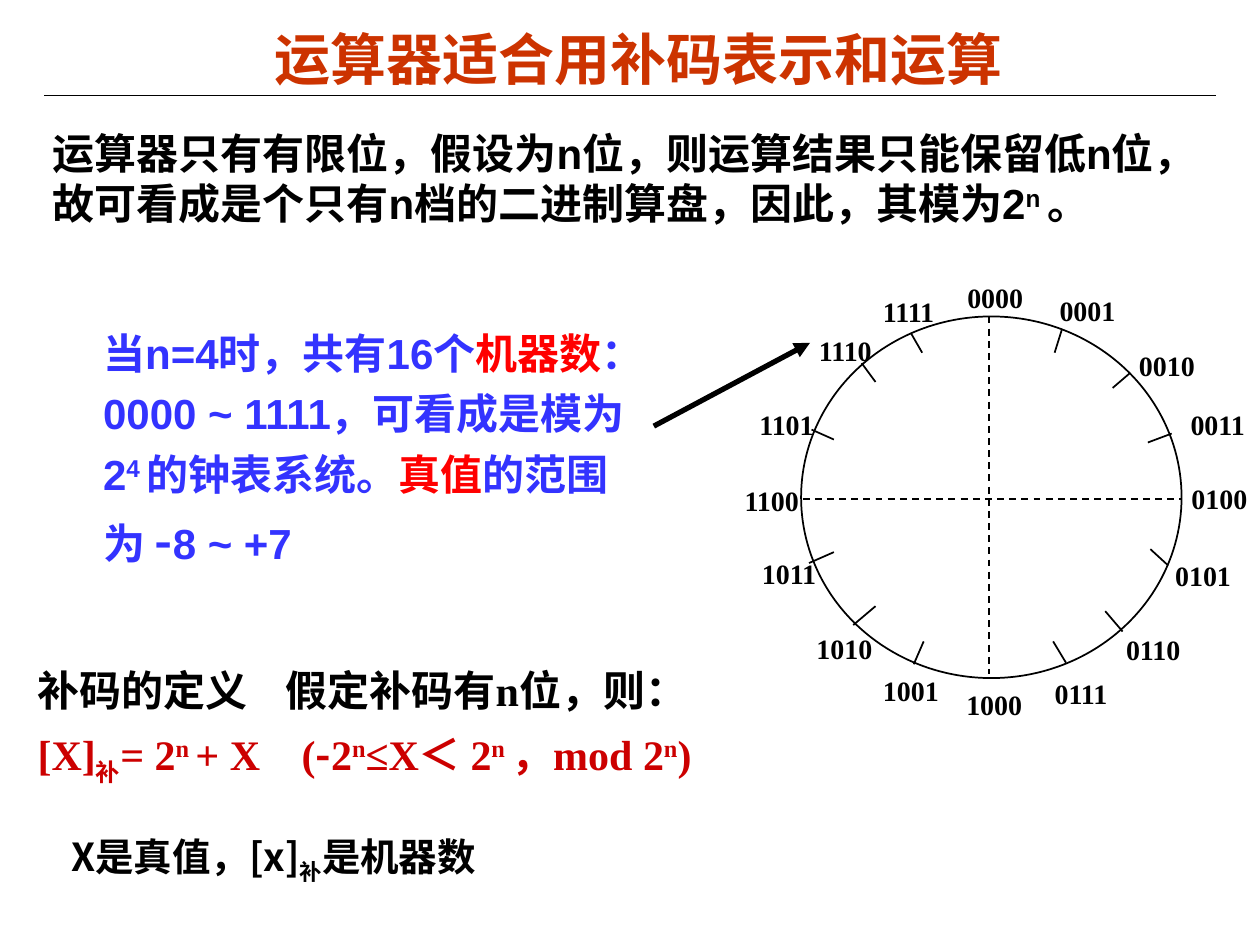
from dataclasses import dataclass

from lxml import etree
from pptx import Presentation
from pptx.dml import color as dml
from pptx.enum import dml as line_styles, shapes, text
from pptx.oxml import ns
from pptx.util import Cm, Pt


@dataclass(frozen=True)
class Theme:
    black: str = "000000"
    title: str = "CC3300"
    blue: str = "3333FF"
    red: str = "FF0000"
    formula: str = "CC0000"
    sans: str = "Arial"
    serif: str = "Times New Roman"
    chinese: str = "Noto Sans CJK SC"
    title_size: int = 32
    body_size: int = 24
    minus_size: int = 28
    note_size: int = 22
    label_size: int = 16


theme = Theme()
SUPER, SUB = 30, -25

presentation = Presentation()
presentation.slide_width, presentation.slide_height = Cm(25.4), Cm(19.05)
slide = presentation.slides.add_slide(presentation.slide_layouts[5])


def add_runs(paragraph, font_name, size, color, runs):
    """Add bold runs; each is (text, changes) with size, font, color or baseline."""
    for words, changes in runs:
        run = paragraph.add_run()
        run.text = words
        run.font.bold = True
        run.font.size = Pt(changes.get("size", size))
        run.font.color.rgb = dml.RGBColor.from_string(changes.get("color", color))
        run.font.name = changes.get("font", font_name)
        properties = run._r.get_or_add_rPr()
        etree.SubElement(properties, ns.qn("a:ea"), typeface=theme.chinese)
        if "baseline" in changes:
            properties.set("baseline", str(changes["baseline"] * 1000))


def add_line(x1, y1, x2, y2, width=1):
    connector = slide.shapes.add_connector(
        shapes.MSO_CONNECTOR.STRAIGHT, Cm(x1), Cm(y1), Cm(x2), Cm(y2))
    connector.line.color.rgb = dml.RGBColor.from_string(theme.black)
    connector.line.width = Pt(width)
    etree.SubElement(connector._element.spPr, ns.qn("a:effectLst"))
    return connector


# Title and rule
title = slide.shapes.title
title.left, title.top, title.width, title.height = Cm(1.35), Cm(0.43), Cm(23.06), Cm(1.5)
frame = title.text_frame
frame.auto_size = text.MSO_AUTO_SIZE.NONE
frame.vertical_anchor = text.MSO_ANCHOR.MIDDLE
frame.margin_left = frame.margin_right = Cm(0.18)
frame.margin_top = frame.margin_bottom = Cm(0.08)
frame.paragraphs[0].alignment = text.PP_ALIGN.CENTER
add_runs(frame.paragraphs[0], theme.sans, theme.title_size, theme.title,
         [("运算器适合用补码表示和运算", {})])
add_line(0.89, 1.93, 24.51, 1.93, 0.75)

# Clock face with dashed axes
circle = slide.shapes.add_shape(
    shapes.MSO_SHAPE.OVAL, Cm(16.15), Cm(6.38), Cm(7.67), Cm(7.29))
circle.shadow.inherit = False
circle.fill.background()
circle.line.color.rgb = dml.RGBColor.from_string(theme.black)
circle.line.width = Pt(1)
for axis in [(16.18, 10.06, 23.83, 10.06), (19.94, 6.38, 19.94, 13.59)]:
    add_line(*axis).line.dash_style = line_styles.MSO_LINE.DASH

# Tick marks, clockwise from 0001
ticks = [
    (21.26, 7.11, 21.41, 6.63), (22.43, 7.82, 22.78, 7.52), (23.14, 8.92, 23.62, 8.74),
    (23.19, 11.07, 23.55, 11.4), (22.28, 12.32, 22.63, 12.73), (21.23, 12.93, 21.49, 13.36),
    (18.42, 13.39, 18.62, 12.93), (17.65, 12.22, 17.2, 12.6), (16.81, 11.13, 16.31, 11.35),
    (16.81, 8.86, 16.36, 8.66), (17.37, 7.32, 17.65, 7.7), (18.36, 6.71, 18.59, 7.11),
]
for tick in ticks:
    add_line(*tick)

# Four-bit labels, clockwise from 0000
label_corners = [
    (19.25, 5.54), (21.11, 5.79), (22.71, 6.91), (23.75, 8.1),
    (23.77, 9.58), (23.44, 11.13), (22.45, 12.62), (21.01, 13.51),
    (19.23, 13.74), (17.55, 13.46), (16.21, 12.6), (15.11, 11.1),
    (14.76, 9.63), (15.06, 8.1), (16.26, 6.6), (17.55, 5.82),
]
for number, (left, top) in enumerate(label_corners):
    label = slide.shapes.add_textbox(Cm(left), Cm(top), Cm(1.63), Cm(0.94))
    label.text_frame.word_wrap = False
    add_runs(label.text_frame.paragraphs[0], theme.serif, theme.label_size, theme.black,
             [(f"{number:04b}", {})])

# Text blocks: box, font, size, line spacing, then (colour, tab stop, runs) per paragraph
red = {"color": theme.red}
raised, lowered = {"baseline": SUPER}, {"baseline": SUB}
blocks = [
    ((0.81, 2.44, 24.03, 2.29), theme.sans, theme.body_size, 1.0, [
        (theme.black, None, [
            ("运算器只有有限位，假设为n位，则运算结果只能保留低n位，"
             "故可看成是个只有n档的二进制算盘，因此，其模为2", {}),
            ("n ", raised), ("。", {})])]),
    ((1.83, 6.27, 11.76, 5.33), theme.sans, theme.body_size, 1.2, [
        (theme.blue, None, [
            ("当n=4时，共有16个", {}), ("机器数", red),
            ("：0000 ~ 1111，可看成是模为2", {}), ("4 ", raised),
            ("的钟表系统。", {}), ("真值", red), ("的范围为 ", {}),
            ("-", {"size": theme.minus_size, "font": theme.chinese}),
            ("8 ~ +7", {})])]),
    ((0.51, 13.28, 20.19, 2.69), theme.serif, theme.body_size, 1.0, [
        (theme.black, 5, [("补码的定义\t假定补码有n位，则：", {})]),
        (theme.formula, 5.32, [
            ("[X]", {}), ("补", lowered), ("= 2", {}), ("n ", raised),
            ("+ X\t(", {}), ("-", {"font": theme.chinese}), ("2", {}),
            ("n", raised), ("≤X＜ 2", {}), ("n ", raised),
            ("，mod 2", {}), ("n", raised), (")", {})])]),
    ((1.19, 16.66, 9.12, 2.26), theme.chinese, theme.note_size, 1.0, [
        (theme.black, None, [("X是真值，[x]", {}), ("补", lowered), ("是机器数", {})])]),
]
for box, font_name, size, spacing, paragraphs in blocks:
    frame = slide.shapes.add_textbox(*map(Cm, box)).text_frame
    frame.word_wrap = True
    for index, (color, tab_stop, runs) in enumerate(paragraphs):
        paragraph = frame.add_paragraph() if index else frame.paragraphs[0]
        paragraph.line_spacing = spacing
        if index:
            paragraph.space_before = Pt(7.5)
        properties = paragraph._p.get_or_add_pPr()
        properties.set("hangingPunct", "0")
        if tab_stop:
            tabs = etree.SubElement(properties, ns.qn("a:tabLst"))
            etree.SubElement(tabs, ns.qn("a:tab"), pos=str(Cm(tab_stop)), algn="l")
        add_runs(paragraph, font_name, size, color, runs)

# Arrow from the explanation to the clock
arrow = add_line(13.18, 8.59, 16.33, 6.91, 3)
etree.SubElement(arrow.line._get_or_add_ln(), ns.qn("a:tailEnd"), type="triangle")

presentation.save("out.pptx")
